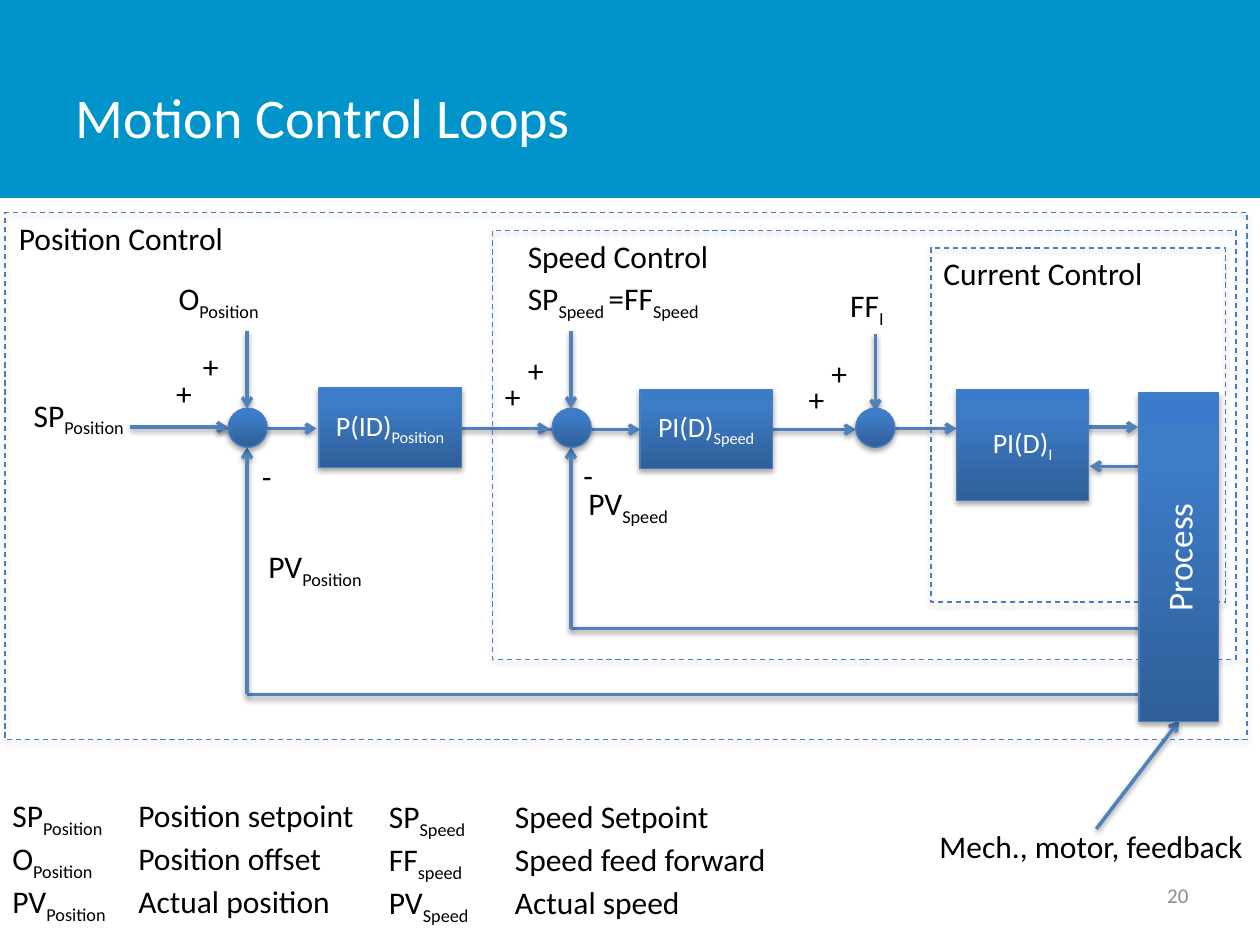
"""Build a slide with a block diagram of nested motion control loops."""
from lxml.etree import SubElement
from pptx import Presentation
from pptx.dml.color import RGBColor
from pptx.enum.dml import MSO_LINE
from pptx.enum.shapes import MSO_CONNECTOR, MSO_SHAPE
from pptx.enum.text import MSO_ANCHOR, MSO_AUTO_SIZE, PP_ALIGN
from pptx.oxml import parse_xml
from pptx.oxml.ns import nsdecls, qn
from pptx.util import Cm, Pt

BAND = RGBColor(0x00, 0x94, 0xCA)
WHITE = RGBColor(0xFF, 0xFF, 0xFF)
BLACK = RGBColor(0x00, 0x00, 0x00)
GREY = RGBColor(0x8C, 0x8C, 0x8C)
WIRE = RGBColor(0x4F, 0x81, 0xBD)
EDGE = RGBColor(0x4B, 0x7E, 0xBC)
DARK = RGBColor(0x2F, 0x5F, 0x99)
MID = RGBColor(0x3D, 0x7C, 0xC7)
LIGHT = RGBColor(0x3A, 0x7C, 0xCB)


def write(shape, text, size=18, color=BLACK, align=PP_ALIGN.LEFT,
          anchor=MSO_ANCHOR.TOP, wrap=False, tab=None):
    """Write lines of text in which |bars| enclose a subscript."""
    frame = shape.text_frame
    frame.word_wrap = wrap
    frame.auto_size = MSO_AUTO_SIZE.NONE if wrap else MSO_AUTO_SIZE.SHAPE_TO_FIT_TEXT
    frame.vertical_anchor = anchor
    for row, line in enumerate(text.split("\n")):
        para = frame.add_paragraph() if row else frame.paragraphs[0]
        para.alignment = align
        if tab:
            tabs = SubElement(para._p.get_or_add_pPr(), qn("a:tabLst"))
            SubElement(tabs, qn("a:tab"), pos=str(tab), algn="l")
        for part, piece in enumerate(line.split("|")):
            if not piece:
                continue
            run = para.add_run()
            run.text = piece
            run.font.name = "Calibri"
            run.font.size = Pt(size)
            run.font.color.rgb = color
            if part % 2:
                run._r.get_or_add_rPr().set("baseline", "-25000")


def shade(shape, dist, alpha):
    """Give a shape or connector a soft shadow below it."""
    shape._element.spPr.append(parse_xml(
        f'<a:effectLst {nsdecls("a")}><a:outerShdw blurRad="40000" dist="{dist}" '
        f'dir="5400000" rotWithShape="0"><a:srgbClr val="{BLACK}">'
        f'<a:alpha val="{alpha}"/></a:srgbClr></a:outerShdw></a:effectLst>'))


deck = Presentation()
deck.slide_width, deck.slide_height = Cm(25.4), Cm(19.05)
slide = deck.slides.add_slide(deck.slide_layouts[6])
shapes = slide.shapes

band = shapes.add_shape(MSO_SHAPE.RECTANGLE, 0, 0, Cm(25.4), Cm(3.99))
band.shadow.inherit = False
band.fill.solid()
band.fill.fore_color.rgb = BAND
band.line.fill.background()

title = shapes.add_textbox(Cm(1.27), Cm(0.76), Cm(19.84), Cm(3.18))
write(title, "Motion Control Loops", size=32, color=WHITE,
      anchor=MSO_ANCHOR.MIDDLE, wrap=True)
page = shapes.add_textbox(Cm(18.29), Cm(17.53), Cm(5.92), Cm(1.02))
write(page, "20", size=12, color=GREY, align=PP_ALIGN.RIGHT,
      anchor=MSO_ANCHOR.MIDDLE, wrap=True)

wires = [
    (23.42, 9.4, 21.97, 9.4, True),
    (20.96, 8.61, 22.94, 8.61, True),
    (2.62, 8.61, 4.6, 8.61, True),
    (4.39, 8.64, 6.38, 8.64, True),
    (9.12, 8.64, 11.07, 8.64, True),
    (10.92, 8.66, 12.9, 8.66, True),
    (15.27, 8.66, 17.25, 8.66, True),
    (17.3, 8.64, 19.28, 8.64, True),
    (17.65, 6.73, 17.65, 8.28, True),
    (22.1, 16.71, 23.77, 14.53, True),
]
for x, low in [(11.51, 12.67), (4.98, 14)]:
    wires += [
        (x, 6.68, x, 8.23, True),
        (23.09, low, x, low, False),
        (x, low, x, 9.02, True),
    ]
for *ends, arrow in wires:
    wire = shapes.add_connector(MSO_CONNECTOR.STRAIGHT, *map(Cm, ends))
    wire.line.color.rgb = WIRE
    wire.line.width = Pt(2)
    if arrow:
        SubElement(wire.line._get_or_add_ln(), qn("a:tailEnd"), type="arrow")
    shade(wire, 20000, 38000)

for box in [(9.93, 4.65, 14.99, 8.64), (0.1, 4.29, 25.04, 10.62),
            (18.77, 5, 5.94, 7.14)]:
    loop = shapes.add_shape(MSO_SHAPE.RECTANGLE, *map(Cm, box))
    loop.fill.background()
    loop.line.color.rgb = EDGE
    loop.line.width = Pt(0.75)
    loop.line.dash_style = MSO_LINE.DASH
    shade(loop, 23000, 35000)

blocks = [(MSO_SHAPE.OVAL, (x, 8.23, 0.79, 0.79), "", 16)
          for x in (4.6, 11.13, 17.25)]
blocks += [(MSO_SHAPE.RECTANGLE, *block) for block in [
    ((6.43, 7.82, 2.87, 1.6), "P(ID)|Position|", 16),
    ((12.9, 7.85, 2.67, 1.6), "PI(D)|Speed|", 16),
    ((19.28, 7.85, 2.67, 2.24), "PI(D)|I|", 16),
    ((22.96, 7.92, 1.6, 6.63), "Process", 20),
]]
stops = "".join(f'<a:gs pos="{pos}"><a:srgbClr val="{tone}"/></a:gs>'
                for pos, tone in [(0, DARK), (80000, MID), (100000, LIGHT)])
for kind, box, text, size in blocks:
    block = shapes.add_shape(kind, *map(Cm, box))
    block._element.spPr.append(parse_xml(
        f'<a:gradFill {nsdecls("a")} rotWithShape="1"><a:gsLst>{stops}</a:gsLst>'
        '<a:lin ang="16200000" scaled="0"/></a:gradFill>'))
    block.line.color.rgb = EDGE
    block.line.width = Pt(0.75)
    shade(block, 23000, 35000)
    if text:
        write(block, text, size=size, color=WHITE, align=PP_ALIGN.CENTER,
              anchor=MSO_ANCHOR.MIDDLE, wrap=True)
block.text_frame._txBody.bodyPr.set("vert", "vert270")

labels = [
    (0.43, 7.85, 2.54, "SP|Position|"),
    (5.16, 10.9, 2.62, "PV|Position|"),
    (3.35, 5.51, 2.34, "O|Position|"),
    (10.39, 5.51, 4.29, "SP|Speed |=FF|Speed|"),
    (11.61, 9.63, 2.29, "PV|Speed|"),
    (16.89, 5.64, 1.22, "FF|I|"),
    (5.03, 9.09, 0.71, "-"),
    (11.51, 9.07, 0.71, "-"),
    (10.39, 4.65, 4.22, "Speed Control"),
    (0.13, 4.29, 4.7, "Position Control"),
    (18.77, 5, 4.6, "Current Control"),
    (18.69, 16.54, 6.76, "Mech., motor, feedback"),
]
labels += [(x, y, 0.84, "+") for x, y in [
    (3.3, 7.42), (3.84, 6.88), (9.93, 7.47), (10.39, 6.96),
    (16.05, 7.54), (16.51, 7.01)]]
for x, y, wide, text in labels:
    write(shapes.add_textbox(Cm(x), Cm(y), Cm(wide), Cm(1.02)), text)

keys = [
    (0, 15.93, 7.49, "SP|Position|\tPosition setpoint\n"
     "O|Position|\tPosition offset\nPV|Position|\tActual position"),
    (7.59, 15.95, 8.23, "SP|Speed|\tSpeed Setpoint\n"
     "FF|speed|\tSpeed feed forward\nPV|Speed|\tActual speed"),
]
for x, y, wide, text in keys:
    write(shapes.add_textbox(Cm(x), Cm(y), Cm(wide), Cm(2.57)), text, tab=Cm(2.54))

deck.save("out.pptx")
